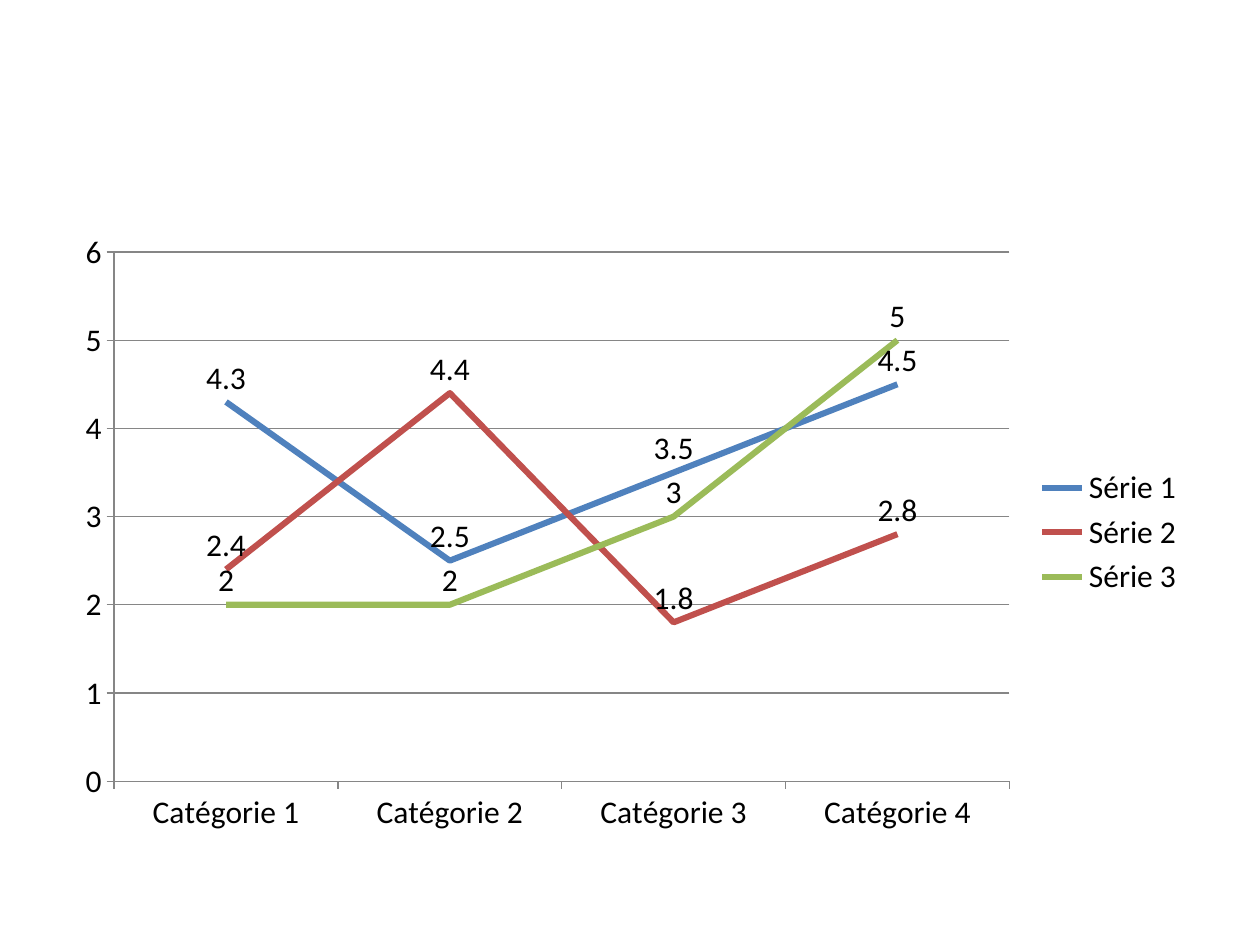
from dataclasses import dataclass

from pptx import Presentation
from pptx.chart import data as chart_data
from pptx.dml.color import RGBColor
from pptx.enum import chart as ec
from pptx.util import Pt

CATEGORIES = [f"Catégorie {number}" for number in range(1, 5)]
TEXT, RULE = "000000", "868686"
BLANK_LAYOUT = 6


@dataclass(frozen=True)
class Curve:
    name: str
    values: tuple[float, ...]
    color: str


CURVES = [
    Curve("Série 1", (4.3, 2.5, 3.5, 4.5), "4F81BD"),
    Curve("Série 2", (2.4, 4.4, 1.8, 2.8), "C0504D"),
    Curve("Série 3", (2, 2, 3, 5), "9BBB59"),
]


def rgb(color: str) -> RGBColor:
    return RGBColor.from_string(color)


def assign(target, values: dict) -> None:
    """Set each named attribute of target."""
    for name, value in values.items():
        setattr(target, name, value)


def style_line(line, color: str, width: float) -> None:
    line.color.rgb = rgb(color)
    line.width = Pt(width)


def style_font(font) -> None:
    assign(font, {"name": "Calibri", "size": Pt(18), "bold": False})
    font.color.rgb = rgb(TEXT)


def style_axes(chart) -> None:
    for axis, gridlines in ((chart.category_axis, False), (chart.value_axis, True)):
        assign(axis, {
            "has_major_gridlines": gridlines,
            "major_tick_mark": ec.XL_TICK_MARK.OUTSIDE,
            "minor_tick_mark": ec.XL_TICK_MARK.NONE,
        })
        style_line(axis.format.line, RULE, 0.75)
    assign(chart.value_axis, {"minimum_scale": 0, "maximum_scale": 6, "major_unit": 1})
    style_line(chart.value_axis.major_gridlines.format.line, RULE, 0.75)


def style_curve(series, curve: Curve) -> None:
    series.smooth = False
    series.marker.style = ec.XL_MARKER_STYLE.NONE
    style_line(series.format.line, curve.color, 3.5)
    assign(series.data_labels, {
        "show_value": True,
        "position": ec.XL_LABEL_POSITION.ABOVE,
    })
    style_font(series.data_labels.font)


def add_line_chart(slide) -> None:
    figures = chart_data.CategoryChartData()
    figures.categories = CATEGORIES
    for curve in CURVES:
        figures.add_series(curve.name, curve.values)
    chart = slide.shapes.add_chart(
        ec.XL_CHART_TYPE.LINE, Pt(36), Pt(126), Pt(648), Pt(356.4), figures
    ).chart
    assign(chart, {"has_title": False, "has_legend": True})
    style_font(chart.font)
    assign(chart.legend, {
        "position": ec.XL_LEGEND_POSITION.RIGHT,
        "include_in_layout": False,
    })
    style_axes(chart)
    chart.plots[0].vary_by_categories = False
    for series, curve in zip(chart.plots[0].series, CURVES):
        style_curve(series, curve)


def main() -> None:
    deck = Presentation()
    assign(deck, {"slide_width": Pt(720), "slide_height": Pt(540)})
    add_line_chart(deck.slides.add_slide(deck.slide_layouts[BLANK_LAYOUT]))
    deck.save("out.pptx")


if __name__ == "__main__":
    main()
